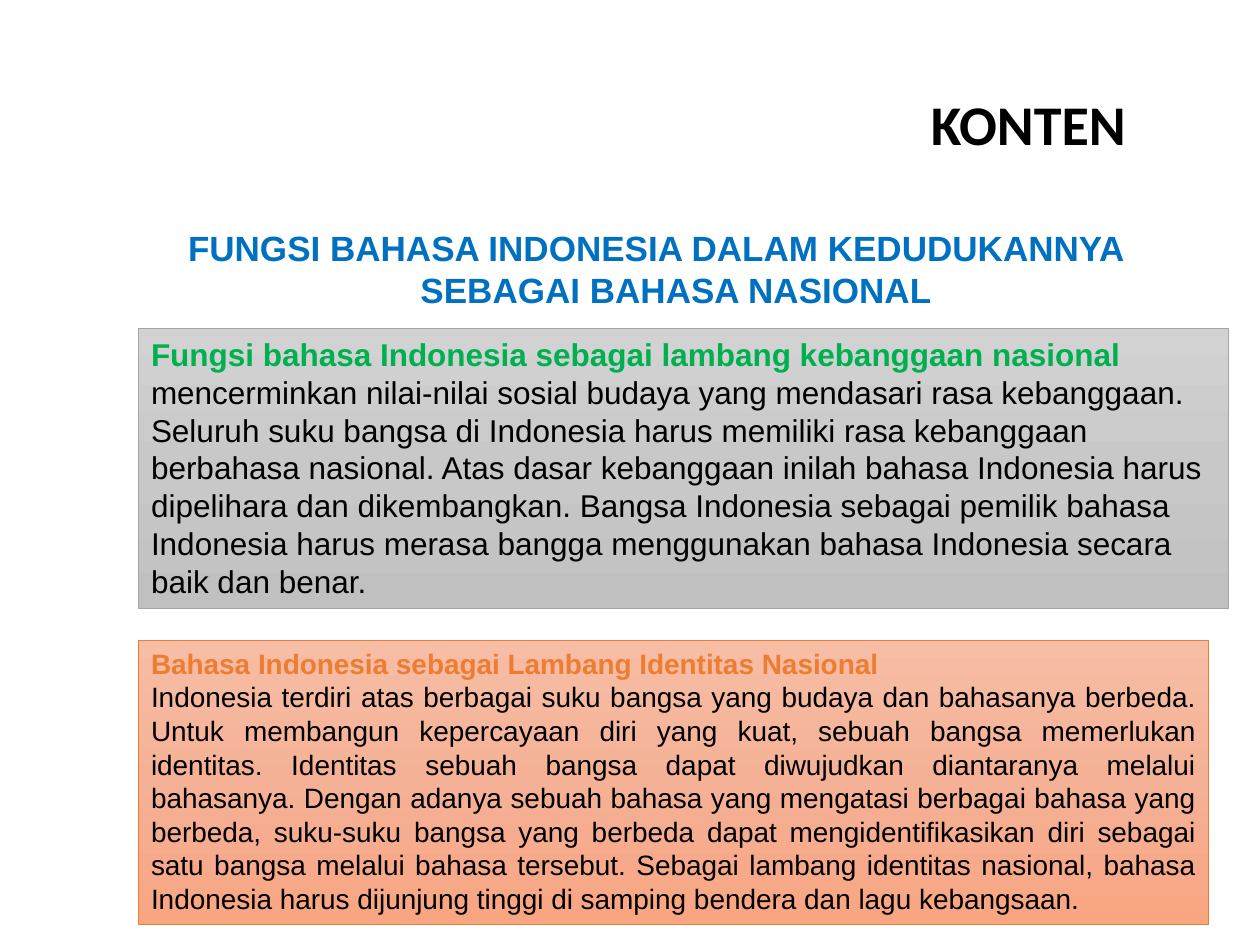
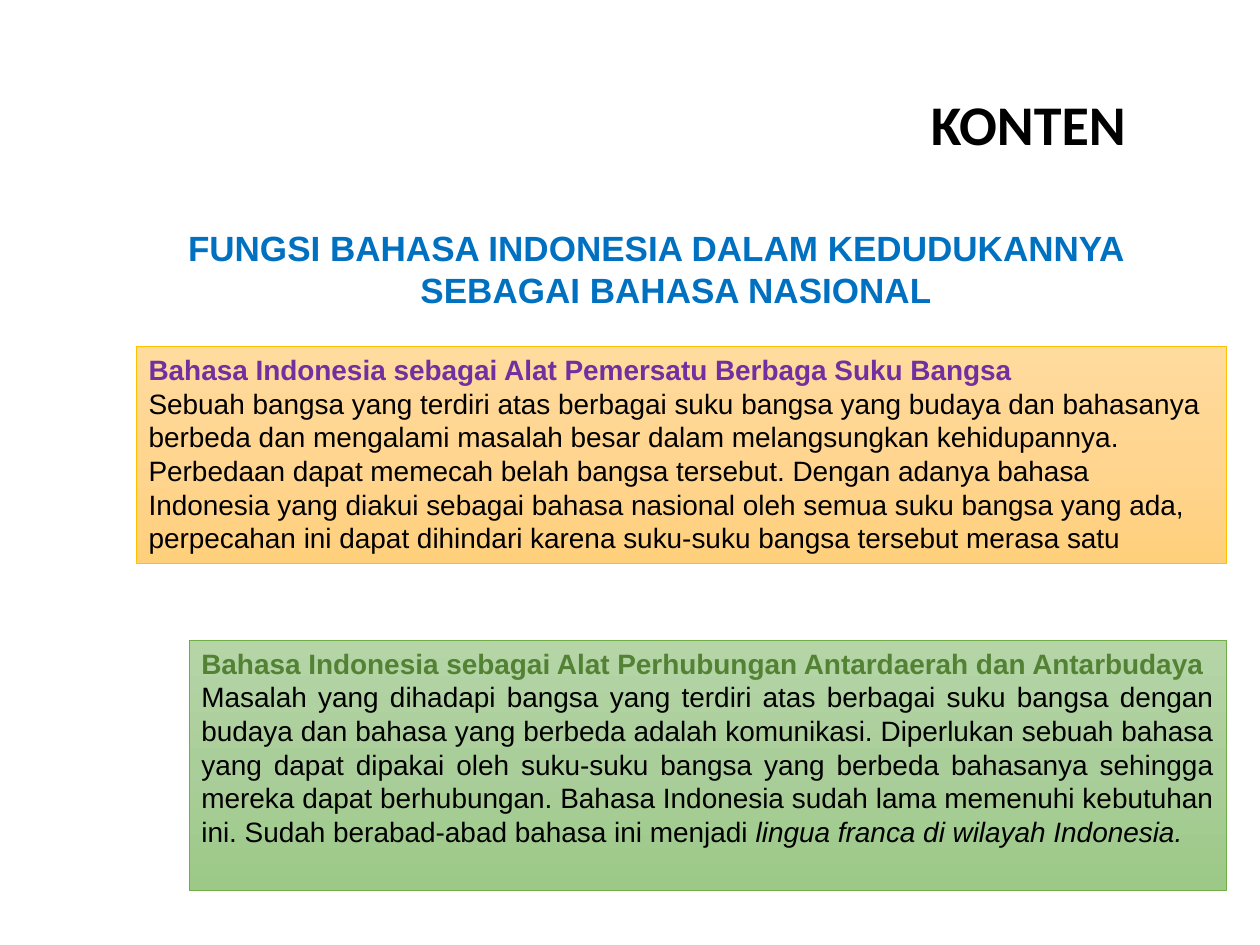
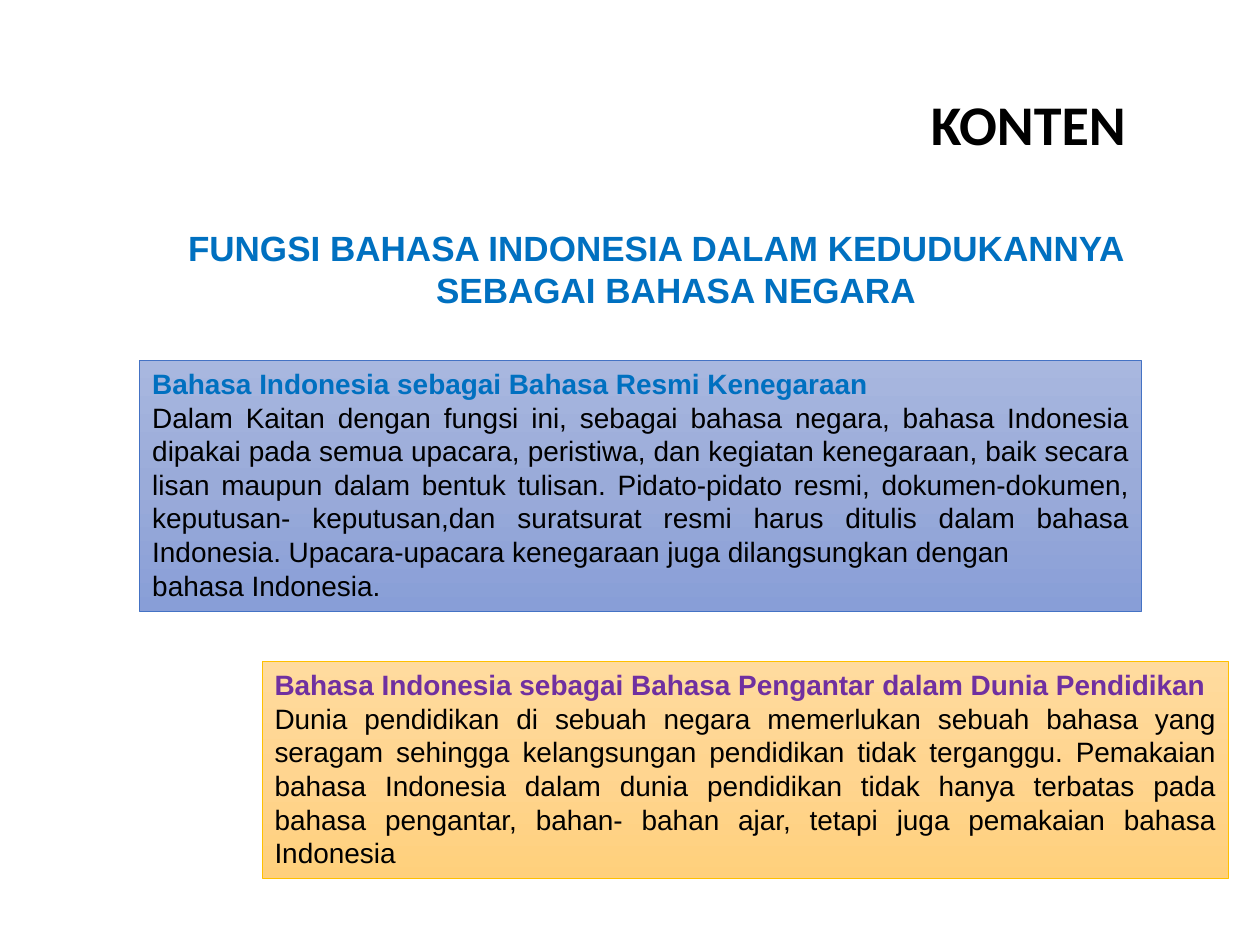
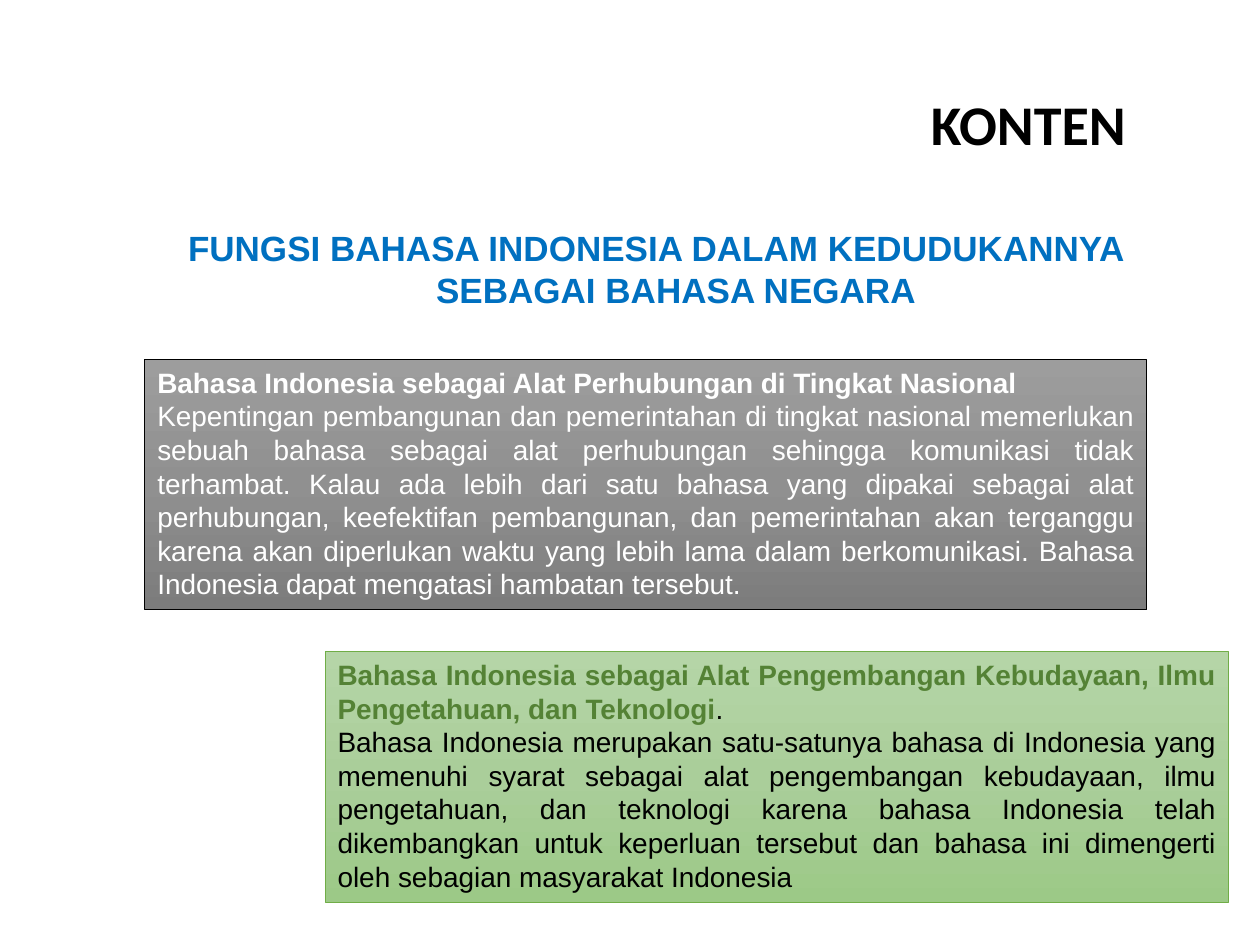
from copy import deepcopy

from pptx import Presentation
from pptx import util as u
from pptx.dml import color
from pptx.enum import shapes, text

# Content: each box is (tone, size, place, paragraphs);
# each paragraph is (alignment, runs); each run is (kind, words).
TITLE = "KONTEN"
TOPIC = "FUNGSI BAHASA INDONESIA DALAM KEDUDUKANNYA SEBAGAI BAHASA "

SLIDES = [
    ("NASIONAL", [
        ("silver", "large", (79.2, 187.9, 622.8, 159.8), [
            ("left", [
                ("head", "Fungsi bahasa Indonesia sebagai lambang kebanggaan nasional "),
                ("body", "mencerminkan nilai-nilai sosial budaya yang mendasari rasa "
                 "kebanggaan. Seluruh suku bangsa di Indonesia harus memiliki rasa "
                 "kebanggaan berbahasa nasional. Atas dasar kebanggaan inilah bahasa "
                 "Indonesia harus dipelihara dan dikembangkan. Bangsa Indonesia sebagai "
                 "pemilik bahasa Indonesia harus merasa bangga menggunakan bahasa "
                 "Indonesia secara baik dan benar."),
            ]),
        ]),
        ("orange", "normal", (79.2, 365.8, 611.3, 162.7), [
            ("both", [("head", "Bahasa Indonesia sebagai Lambang Identitas Nasional")]),
            ("both", [
                ("body", "Indonesia terdiri atas berbagai suku bangsa yang budaya dan "
                 "bahasanya berbeda. Untuk membangun kepercayaan diri yang kuat, sebuah "
                 "bangsa memerlukan identitas. Identitas sebuah bangsa dapat diwujudkan "
                 "diantaranya melalui bahasanya. Dengan adanya sebuah bahasa yang "
                 "mengatasi berbagai bahasa yang berbeda, suku-suku bangsa yang berbeda "
                 "dapat mengidentifikasikan diri sebagai satu bangsa melalui bahasa "
                 "tersebut. Sebagai lambang identitas nasional, bahasa Indonesia harus "
                 "dijunjung tinggi di samping bendera dan lagu kebangsaan."),
            ]),
        ]),
    ]),
    ("NASIONAL", [
        ("gold", "normal", (77.8, 198, 622.8, 123.8), [
            ("left", [("head", "Bahasa Indonesia sebagai Alat Pemersatu Berbaga Suku Bangsa")]),
            ("left", [
                ("body", "Sebuah bangsa yang terdiri atas berbagai suku bangsa yang budaya "
                 "dan bahasanya berbeda dan mengalami masalah besar dalam melangsungkan "
                 "kehidupannya."),
            ]),
            ("left", [
                ("body", "Perbedaan dapat memecah belah bangsa tersebut. Dengan adanya "
                 "bahasa Indonesia yang diakui sebagai bahasa nasional oleh semua suku "
                 "bangsa yang ada, perpecahan ini dapat dihindari karena suku-suku bangsa "
                 "tersebut merasa satu"),
            ]),
        ]),
        ("green", "normal", (108, 365.8, 592.6, 143.3), [
            ("left", [("head", "Bahasa Indonesia sebagai Alat Perhubungan Antardaerah "
                       "dan Antarbudaya")]),
            ("both", [
                ("body", "Masalah yang dihadapi bangsa yang terdiri atas berbagai suku "
                 "bangsa dengan budaya dan bahasa yang berbeda adalah komunikasi. "
                 "Diperlukan sebuah bahasa yang dapat dipakai oleh suku-suku bangsa yang "
                 "berbeda bahasanya sehingga mereka dapat berhubungan. Bahasa Indonesia "
                 "sudah lama memenuhi kebutuhan ini. Sudah berabad-abad bahasa ini "
                 "menjadi "),
                ("term", "lingua franca di wilayah Indonesia."),
            ]),
        ]),
    ]),
    ("NEGARA", [
        ("blue", "normal", (79.9, 205.9, 572.4, 143.3), [
            ("left", [("head", "Bahasa Indonesia sebagai Bahasa Resmi Kenegaraan")]),
            ("both", [
                ("body", "Dalam Kaitan dengan fungsi ini, sebagai bahasa negara, bahasa "
                 "Indonesia dipakai pada semua upacara, peristiwa, dan kegiatan "
                 "kenegaraan, baik secara lisan maupun dalam bentuk tulisan. "
                 "Pidato-pidato resmi, dokumen-dokumen, keputusan- keputusan,dan "
                 "suratsurat resmi harus ditulis dalam bahasa Indonesia. "
                 "Upacara-upacara kenegaraan juga dilangsungkan dengan"),
            ]),
            ("left", [("body", "bahasa Indonesia.")]),
        ]),
        ("gold", "normal", (149.8, 378, 552.2, 123.8), [
            ("both", [("head", "Bahasa Indonesia sebagai Bahasa Pengantar dalam Dunia "
                       "Pendidikan")]),
            ("both", [
                ("body", "Dunia pendidikan di sebuah negara memerlukan sebuah bahasa yang "
                 "seragam sehingga kelangsungan pendidikan tidak terganggu. Pemakaian "
                 "bahasa Indonesia dalam dunia pendidikan tidak hanya terbatas pada "
                 "bahasa pengantar, bahan- bahan ajar, tetapi juga pemakaian bahasa "
                 "Indonesia"),
            ]),
        ]),
    ]),
    ("NEGARA", [
        ("dark", "normal", (82.8, 205.2, 572.4, 143.3), [
            ("left", [("head", "Bahasa Indonesia sebagai Alat Perhubungan di Tingkat Nasional")]),
            ("both", [
                ("body", "Kepentingan pembangunan dan pemerintahan di tingkat nasional "
                 "memerlukan sebuah bahasa sebagai alat perhubungan sehingga komunikasi "
                 "tidak terhambat. Kalau ada lebih dari satu bahasa yang dipakai sebagai "
                 "alat perhubungan, keefektifan pembangunan, dan pemerintahan akan "
                 "terganggu karena akan diperlukan waktu yang lebih lama dalam "
                 "berkomunikasi. Bahasa Indonesia dapat mengatasi hambatan tersebut."),
            ]),
        ]),
        ("green", "normal", (185.8, 372.2, 516.2, 143.3), [
            ("both", [
                ("head", "Bahasa Indonesia sebagai Alat Pengembangan Kebudayaan, Ilmu "
                 "Pengetahuan, dan Teknologi"),
                ("body", ". "),
            ]),
            ("both", [
                ("body", "Bahasa Indonesia merupakan satu-satunya bahasa di Indonesia yang "
                 "memenuhi syarat sebagai alat pengembangan kebudayaan, ilmu pengetahuan, "
                 "dan teknologi karena bahasa Indonesia telah dikembangkan untuk keperluan "
                 "tersebut dan bahasa ini dimengerti oleh sebagian masyarakat Indonesia"),
            ]),
        ]),
    ]),
]

# Theme: a tone is (gradient stops, line, heading colour, body colour)
THEME = {
    "page": (720, 540),
    "title": {"name": "Calibri", "size": 32, "bold": True, "color": "000000"},
    "topic": {"name": "Arial", "size": 20, "bold": True, "color": "0070C0"},
    "sizes": {"large": 18, "normal": 16},
    "kinds": {
        "head": {"name": "Arial", "bold": True},
        "body": {"name": "Arial", "bold": False},
        "term": {"name": "Arial", "bold": False, "italic": True},
    },
    "tones": {
        "silver": (("D2D2D2", "C8C8C8", "C0C0C0"), "A5A5A5", "00B050", "000000"),
        "orange": (("F7BDA5", "F5B196", "F8A582"), "ED7D31", "ED7D31", "000000"),
        "gold": (("FFDB9E", "FFD590", "FFD07C"), "FFC000", "7030A0", "000000"),
        "green": (("B5D5A7", "AACE9A", "9CC987"), "70AD47", "548235", "000000"),
        "blue": (("A8B7DF", "9AABD9", "889ED7"), "4472C4", "0070C0", "000000"),
        "dark": (("9D9D9D", "909090", "7C7C7C"), "000000", "FFFFFF", "FFFFFF"),
    },
}
ALIGN = {
    "left": text.PP_ALIGN.LEFT,
    "mid": text.PP_ALIGN.CENTER,
    "both": text.PP_ALIGN.JUSTIFY,
}
TITLE_AT = (524.9, 47.5, 127.4, 46.1)
TOPIC_AT = (77.8, 126, 594, 55.4)
HANG = 23  # hanging indent of the topic line


def rgb(code):
    return color.RGBColor.from_string(code)


def points(place):
    return [u.Pt(n) for n in place]


def add_run(para, words, form):
    run = para.add_run()
    run.text = words
    for key, val in form.items():
        if key == "color":
            run.font.color.rgb = rgb(val)
        else:
            setattr(run.font, key, u.Pt(val) if key == "size" else val)


def set_frame(frame, wrap=True):
    form = {"word_wrap": wrap, "vertical_anchor": text.MSO_ANCHOR.TOP,
            "auto_size": text.MSO_AUTO_SIZE.NONE}
    for key, val in form.items():
        setattr(frame, key, val)
    return frame


def add_label(slide, place, words, form, align="left", wrap=True, hang=0):
    box = slide.shapes.add_textbox(*points(place))
    para = set_frame(box.text_frame, wrap).paragraphs[0]
    para.alignment = ALIGN[align]
    if hang:
        props = para._p.get_or_add_pPr()
        props.set("marL", str(u.Pt(hang)))
        props.set("indent", str(-u.Pt(hang)))
    add_run(para, words, form)


def shade(fill, codes):
    """Fill from top to bottom with evenly spaced colour stops."""
    fill.gradient()
    fill.gradient_angle = 270
    first = fill.gradient_stops[0]._gs
    for _ in codes[2:]:
        first.addnext(deepcopy(first))
    for i, (stop, code) in enumerate(zip(fill.gradient_stops, codes)):
        stop.position = i / (len(codes) - 1)
        stop.color.rgb = rgb(code)


def add_panel(slide, tone, size, place, paras):
    stops, edge, head, body = THEME["tones"][tone]
    panel = slide.shapes.add_shape(shapes.MSO_SHAPE.RECTANGLE, *points(place))
    panel.shadow.inherit = False
    shade(panel.fill, stops)
    panel.line.color.rgb = rgb(edge)
    panel.line.width = u.Pt(0.5)
    frame = set_frame(panel.text_frame)
    for i, (align, runs) in enumerate(paras):
        para = frame.add_paragraph() if i else frame.paragraphs[0]
        para.alignment = ALIGN[align]
        for kind, words in runs:
            add_run(para, words, {
                **THEME["kinds"][kind],
                "size": THEME["sizes"][size],
                "color": head if kind == "head" else body,
            })


def main():
    deck = Presentation()
    deck.slide_width, deck.slide_height = points(THEME["page"])
    for topic, (upper, lower) in SLIDES:
        slide = deck.slides.add_slide(deck.slide_layouts[6])
        add_panel(slide, *upper)
        add_label(slide, TITLE_AT, TITLE, THEME["title"], wrap=False)
        add_label(slide, TOPIC_AT, TOPIC + topic, THEME["topic"], "mid", hang=HANG)
        add_panel(slide, *lower)
    deck.save("out.pptx")


if __name__ == "__main__":
    main()
